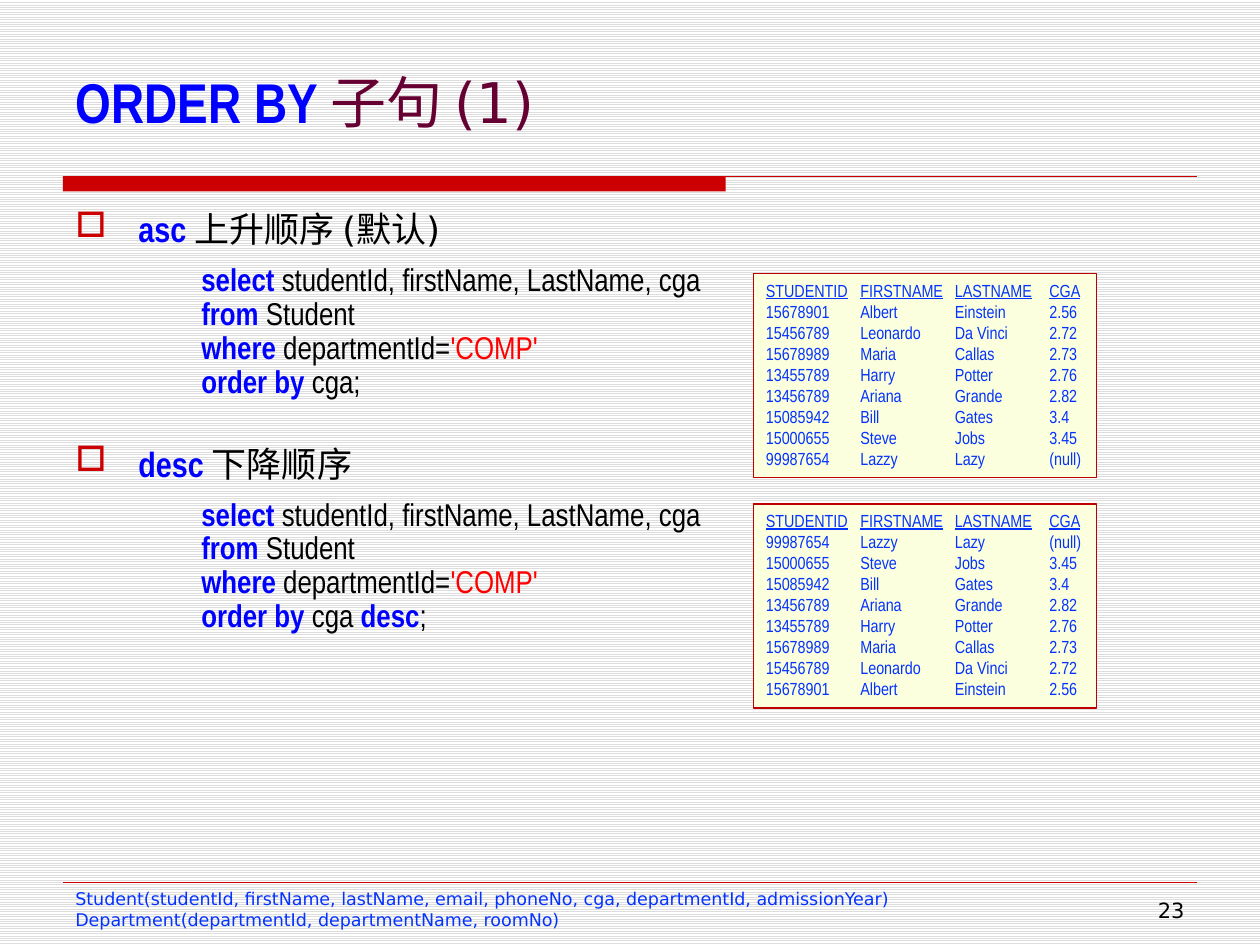
"""Build the ORDER BY slide: ascending and descending queries with their results."""
import pptx
import pptx.dml.color
import pptx.enum.dml
import pptx.enum.shapes
import pptx.enum.text
import pptx.oxml
import pptx.oxml.ns
import pptx.util
import lxml.etree

COLORS = {
    "keyword": "0000FF", "title": "660033", "text": "000000", "literal": "FF0000",
    "rule": "CC0000", "frame": "C00000", "panel": "FBFFDD", "result": "0432FF",
    "stripe": "DDDDDD", "white": "FFFFFF",
}
RGB = {name: pptx.dml.color.RGBColor.from_string(value) for name, value in COLORS.items()}
NARROW, SANS = "Arial Narrow", "DejaVu Sans"
ANCHOR, ALIGN = pptx.enum.text.MSO_ANCHOR, pptx.enum.text.PP_ALIGN

deck = pptx.Presentation()
deck.slide_width, deck.slide_height = pptx.util.Inches(10), pptx.util.Inches(7.5)
COLUMN, ROW = deck.slide_width / 20, deck.slide_height / 15
page = deck.slides.add_slide(deck.slide_layouts[5])


def grid(left, top, width, height):
    return [round(left * COLUMN), round(top * ROW), round(width * COLUMN), round(height * ROW)]


def add_span(para, text, size, font, color, bold=False, underline=False):
    span = para.add_run()
    span.text = text
    span.font.size, span.font.name = pptx.util.Pt(size), font
    span.font.bold, span.font.underline = bold, underline
    span.font.color.rgb = RGB[color]


backdrop = page.background.fill
backdrop.patterned()
backdrop.pattern = pptx.enum.dml.MSO_PATTERN.LIGHT_HORIZONTAL
backdrop.fore_color.rgb, backdrop.back_color.rgb = RGB["stripe"], RGB["white"]

bar = page.shapes.add_shape(pptx.enum.shapes.MSO_SHAPE.RECTANGLE, *grid(1, 2.8, 10.52, 0.24))
bar.shadow.inherit = False
bar.fill.solid()
bar.fill.fore_color.rgb = RGB["rule"]
bar.line.fill.background()

for row, weight in [(2.8, 0.75), (14, 0.25)]:
    left, top, width, _ = grid(1, row, 18, 0)
    rule = page.shapes.add_connector(
        pptx.enum.shapes.MSO_CONNECTOR.STRAIGHT, left, top, left + width, top)
    rule.line.color.rgb, rule.line.width = RGB["rule"], pptx.util.Pt(weight)
    lxml.etree.SubElement(rule._element.spPr, pptx.oxml.ns.qn("a:effectLst"))

title = page.shapes.title
title.left, title.top, title.width, title.height = grid(1, 0.6, 18, 2)
title.text_frame.vertical_anchor = ANCHOR.MIDDLE
title.text_frame.auto_size = pptx.enum.text.MSO_AUTO_SIZE.NONE
para = title.text_frame.paragraphs[0]
para.alignment = ALIGN.LEFT
add_span(para, "ORDER BY ", 32, NARROW, "keyword", bold=True)
add_span(para, "子句 (1)", 32, SANS, "title")

number = page.shapes.add_textbox(*grid(14.66, 14.2, 4.34, 0.5))
number.text_frame.word_wrap = True
number.text_frame.vertical_anchor = ANCHOR.MIDDLE
para = number.text_frame.paragraphs[0]
para.alignment = ALIGN.RIGHT
add_span(para, "23", 12, SANS, "text")

orders = [
    ("asc ", "上升顺序 (默认)", [("cga;", "text")]),
    ("desc ", "下降顺序", [("cga ", "text"), ("desc", "keyword"), (";", "text")]),
]
body = page.shapes.add_textbox(*grid(1, 3.2, 18, 7.04)).text_frame
body.word_wrap = True
para = body.paragraphs[0]
for keyword, meaning, sort_key in orders:
    if para.runs:
        para = body.add_paragraph()
    para.space_before = pptx.util.Pt(24)
    props = para._p.get_or_add_pPr()
    props.set("marL", str(round(COLUMN)))
    props.set("indent", str(-round(COLUMN)))
    bullet_color = lxml.etree.SubElement(props, pptx.oxml.ns.qn("a:buClr"))
    lxml.etree.SubElement(bullet_color, pptx.oxml.ns.qn("a:srgbClr")).set("val", COLORS["rule"])
    lxml.etree.SubElement(props, pptx.oxml.ns.qn("a:buChar")).set("char", "□")
    add_span(para, keyword, 20, NARROW, "keyword", bold=True)
    add_span(para, meaning, 20, SANS, "text")
    query = [
        [("select ", "keyword"), ("studentId, firstName, LastName, cga", "text")],
        [("from ", "keyword"), ("Student", "text")],
        [("where", "keyword"), (" departmentId=", "text"), ("'COMP'", "literal")],
        [("order by ", "keyword")] + sort_key,
    ]
    for index, line in enumerate(query):
        para = body.add_paragraph()
        if index == 0:
            para.space_before = pptx.util.Pt(6)
        else:
            para.line_spacing = 0.9
        props = para._p.get_or_add_pPr()
        props.set("marL", str(round(3 * COLUMN)))
        props.set("indent", str(-round(COLUMN)))
        for text, color in line:
            add_span(para, text, 18, NARROW, color, bold=color == "keyword")

header = ("STUDENTID", "FIRSTNAME", "LASTNAME", "CGA")
students = [
    ("15678901", "Albert", "Einstein", "2.56"),
    ("15456789", "Leonardo", "Da Vinci", "2.72"),
    ("15678989", "Maria", "Callas", "2.73"),
    ("13455789", "Harry", "Potter", "2.76"),
    ("13456789", "Ariana", "Grande", "2.82"),
    ("15085942", "Bill", "Gates", "3.4"),
    ("15000655", "Steve", "Jobs", "3.45"),
    ("99987654", "Lazzy", "Lazy", "(null)"),
]
for top, records in [(4.34, students), (8, students[::-1])]:
    panel = page.shapes.add_shape(
        pptx.enum.shapes.MSO_SHAPE.RECTANGLE, *grid(11.96, top, 5.44, 3.24))
    panel.shadow.inherit = False
    panel.fill.solid()
    panel.fill.fore_color.rgb = RGB["panel"]
    panel.line.color.rgb, panel.line.width = RGB["frame"], pptx.util.Pt(0.75)
    frame = panel.text_frame
    frame.word_wrap, frame.vertical_anchor = False, ANCHOR.TOP
    for index, record in enumerate([header] + records):
        para = frame.add_paragraph() if index else frame.paragraphs[0]
        para.alignment = ALIGN.LEFT
        tabs = lxml.etree.SubElement(para._p.get_or_add_pPr(), pptx.oxml.ns.qn("a:tabLst"))
        for stop in range(1, len(header)):
            tab = lxml.etree.SubElement(tabs, pptx.oxml.ns.qn("a:tab"))
            tab.set("pos", str(round(stop * 1.5 * COLUMN)))
            tab.set("algn", "l")
        add_span(para, "\t".join(record), 10, NARROW, "result", underline=index == 0)

schema = page.shapes.add_textbox(*grid(1, 14, 13.74, 0.88)).text_frame
schema.word_wrap = False
relations = [
    "Student(studentId, firstName, lastName, email, phoneNo, cga, departmentId, admissionYear)",
    "Department(departmentId, departmentName, roomNo)",
]
for index, relation in enumerate(relations):
    para = schema.add_paragraph() if index else schema.paragraphs[0]
    add_span(para, relation, 10, SANS, "result")

deck.save("out.pptx")
